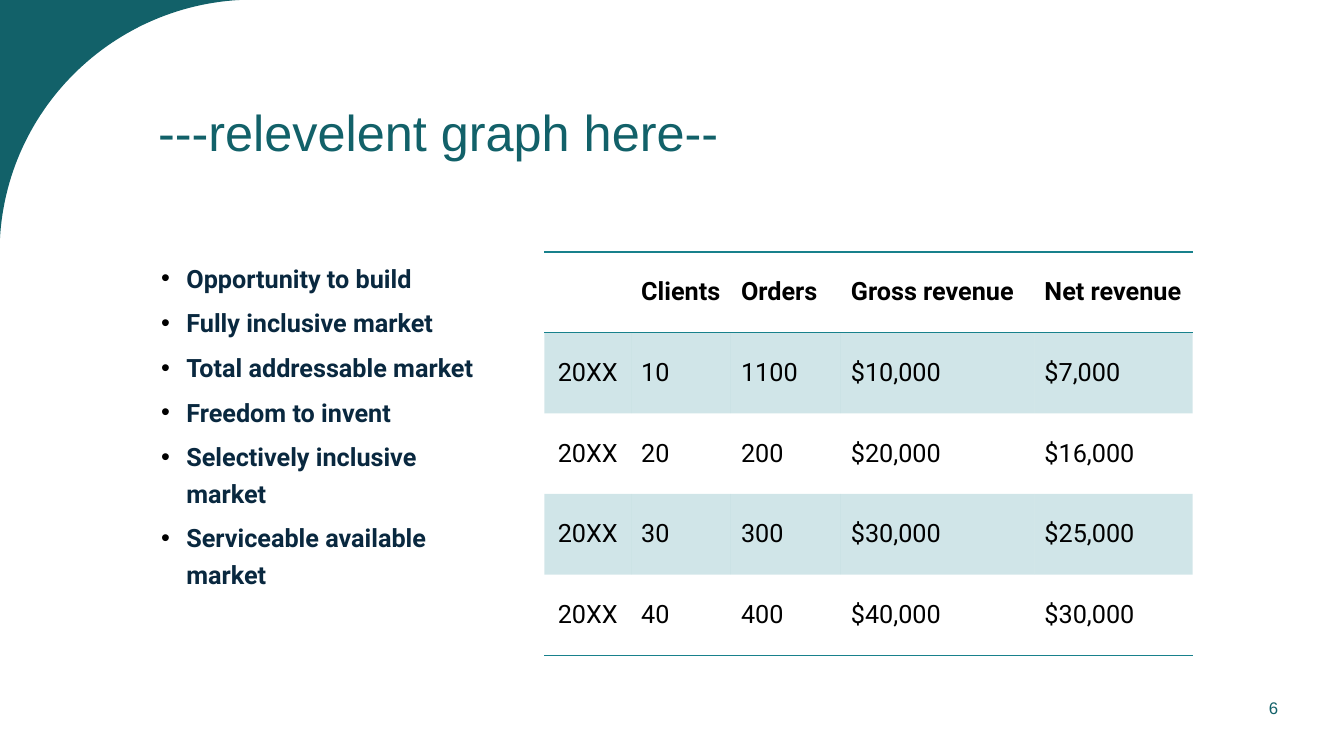
from dataclasses import dataclass

from lxml import etree
from pptx import Presentation
from pptx.dml.color import RGBColor
from pptx.enum.text import MSO_ANCHOR, PP_ALIGN
from pptx.oxml.ns import qn
from pptx.slide import Slide
from pptx.table import Table, _Cell
from pptx.text.text import TextFrame
from pptx.util import Inches, Pt

TOP = MSO_ANCHOR.TOP
MIDDLE = MSO_ANCHOR.MIDDLE
LEFT = PP_ALIGN.LEFT
CENTER = PP_ALIGN.CENTER

DARK_TEAL = RGBColor(0x12, 0x61, 0x69)
TEAL = RGBColor(0x18, 0x81, 0x8C)
NAVY = RGBColor(0x09, 0x28, 0x3F)
BLACK = RGBColor(0x00, 0x00, 0x00)

PLAIN_TABLE_STYLE = "{2D5ABB26-0587-4C30-8999-92F81FD0307C}"
BAND_ALPHA = 20000
CURVE_STEPS = 60
CURVE = ((2.38, 0), (1.1, 0.07), (0.07, 1.09), (0, 2.37))

MARKET_POINTS = (
    "Opportunity to build",
    "Fully inclusive market",
    "Total addressable market",
    "Freedom to invent",
    "Selectively inclusive market",
    "Serviceable available market",
)

COLUMN_WIDTHS = (0.86, 0.99, 1.09, 1.92, 1.57)
ROW_HEIGHT = 0.8
REVENUE_ROWS = (
    ("", "Clients", "Orders", "Gross revenue", "Net revenue"),
    ("20XX", "10", "1100", "$10,000", "$7,000"),
    ("20XX", "20", "200", "$20,000", "$16,000"),
    ("20XX", "30", "300", "$30,000", "$25,000"),
    ("20XX", "40", "400", "$40,000", "$30,000"),
)


@dataclass(frozen=True)
class TextBlock:
    left: float
    top: float
    width: float
    height: float
    lines: tuple[str, ...]
    size: float
    color: RGBColor
    font: str = "Arial"
    bold: bool = False
    align: PP_ALIGN = LEFT
    anchor: MSO_ANCHOR = MIDDLE
    line_spacing: float = 1.0
    space_after: float = 0
    bulleted: bool = False


TEXT_BLOCKS = (
    TextBlock(1.47, 0.38, 11.16, 1.93, ("---relevelent graph here--",), 36, DARK_TEAL,
              line_spacing=0.9),
    TextBlock(1.5, 2.5, 3.48, 3.99, MARKET_POINTS, 18, NAVY, font="Roboto", bold=True,
              anchor=TOP, line_spacing=1.2, space_after=6, bulleted=True),
    TextBlock(11.92, 6.54, 1.42, 0.96, ("6",), 12, DARK_TEAL, align=CENTER),
)


def add_solid_fill(parent: etree._Element, color: RGBColor) -> None:
    fill = etree.SubElement(parent, qn("a:solidFill"))
    etree.SubElement(fill, qn("a:srgbClr"), val=str(color))


def add_bullet(properties: etree._Element) -> None:
    properties.set("marL", str(Inches(0.25)))
    properties.set("indent", str(Inches(-0.25)))
    bullet_color = etree.SubElement(properties, qn("a:buClr"))
    etree.SubElement(bullet_color, qn("a:srgbClr"), val=str(BLACK))
    etree.SubElement(properties, qn("a:buFont"), typeface="Arial")
    etree.SubElement(properties, qn("a:buChar"), char="•")


def write_text(frame: TextFrame, lines: tuple[str, ...], *, size: float, color: RGBColor,
               font: str, bold: bool = False, align: PP_ALIGN = LEFT,
               line_spacing: float = 1.0, space_after: float = 0,
               bulleted: bool = False) -> None:
    for index, line in enumerate(lines):
        paragraph = frame.add_paragraph() if index else frame.paragraphs[0]
        paragraph.alignment = align
        paragraph.line_spacing = line_spacing
        paragraph.space_after = Pt(space_after)
        if bulleted:
            add_bullet(paragraph._p.get_or_add_pPr())
        run = paragraph.add_run()
        run.text = line
        run.font.name = font
        run.font.size = Pt(size)
        run.font.bold = bold
        run.font.color.rgb = color


def add_text_block(slide: Slide, block: TextBlock) -> None:
    shape = slide.shapes.add_textbox(Inches(block.left), Inches(block.top),
                                     Inches(block.width), Inches(block.height))
    frame = shape.text_frame
    frame.word_wrap = True
    frame.vertical_anchor = block.anchor
    write_text(frame, block.lines, size=block.size, color=block.color, font=block.font,
               bold=block.bold, align=block.align, line_spacing=block.line_spacing,
               space_after=block.space_after, bulleted=block.bulleted)


def curve_point(t: float) -> tuple[float, float]:
    weights = ((1 - t) ** 3, 3 * t * (1 - t) ** 2, 3 * t ** 2 * (1 - t), t ** 3)
    x, y = (sum(weight * point[axis] for weight, point in zip(weights, CURVE))
            for axis in (0, 1))
    return Inches(x), Inches(y)


def add_corner(slide: Slide) -> None:
    builder = slide.shapes.build_freeform(0, Inches(2.5))
    curve = [curve_point(step / CURVE_STEPS) for step in range(CURVE_STEPS + 1)]
    builder.add_line_segments([(0, 0), (Inches(2.5), 0), *curve], close=True)
    corner = builder.convert_to_shape()
    corner.shadow.inherit = False
    corner.fill.solid()
    corner.fill.fore_color.rgb = DARK_TEAL
    corner.line.fill.background()


def add_border(cell: _Cell, side: str) -> None:
    border = etree.SubElement(cell._tc.get_or_add_tcPr(), qn(side), w=str(Pt(1)))
    add_solid_fill(border, TEAL)


def fill_cell(cell: _Cell, banded: bool) -> None:
    if not banded:
        cell.fill.background()
        return
    cell.fill.solid()
    cell.fill.fore_color.rgb = TEAL
    color = cell._tc.tcPr.find(qn("a:solidFill")).find(qn("a:srgbClr"))
    etree.SubElement(color, qn("a:alpha"), val=str(BAND_ALPHA))


def format_cell(table: Table, row: int, column: int, text: str) -> None:
    cell = table.cell(row, column)
    cell.vertical_anchor = MIDDLE
    header = row == 0
    if header:
        add_border(cell, "a:lnT")
    if header or row == len(REVENUE_ROWS) - 1:
        add_border(cell, "a:lnB")
    fill_cell(cell, banded=row % 2 == 1)
    if text:
        write_text(cell.text_frame, (text,), size=18, color=BLACK, font="Roboto",
                   bold=header, align=LEFT if column else CENTER)


def add_revenue_table(slide: Slide) -> None:
    row_count = len(REVENUE_ROWS)
    frame = slide.shapes.add_table(row_count, len(COLUMN_WIDTHS), Inches(5.4), Inches(2.5),
                                   Inches(sum(COLUMN_WIDTHS)), Inches(ROW_HEIGHT * row_count))
    table = frame.table
    table.horz_banding = False
    table._tbl.tblPr.find(qn("a:tableStyleId")).text = PLAIN_TABLE_STYLE
    for column, width in zip(table.columns, COLUMN_WIDTHS):
        column.width = Inches(width)
    for row, values in enumerate(REVENUE_ROWS):
        table.rows[row].height = Inches(ROW_HEIGHT)
        for column, text in enumerate(values):
            format_cell(table, row, column, text)


def main() -> None:
    presentation = Presentation()
    presentation.slide_width = Inches(13.33)
    presentation.slide_height = Inches(7.5)
    slide = presentation.slides.add_slide(presentation.slide_layouts[6])
    add_corner(slide)
    for block in TEXT_BLOCKS:
        add_text_block(slide, block)
    add_revenue_table(slide)
    presentation.save("out.pptx")


if __name__ == "__main__":
    main()
